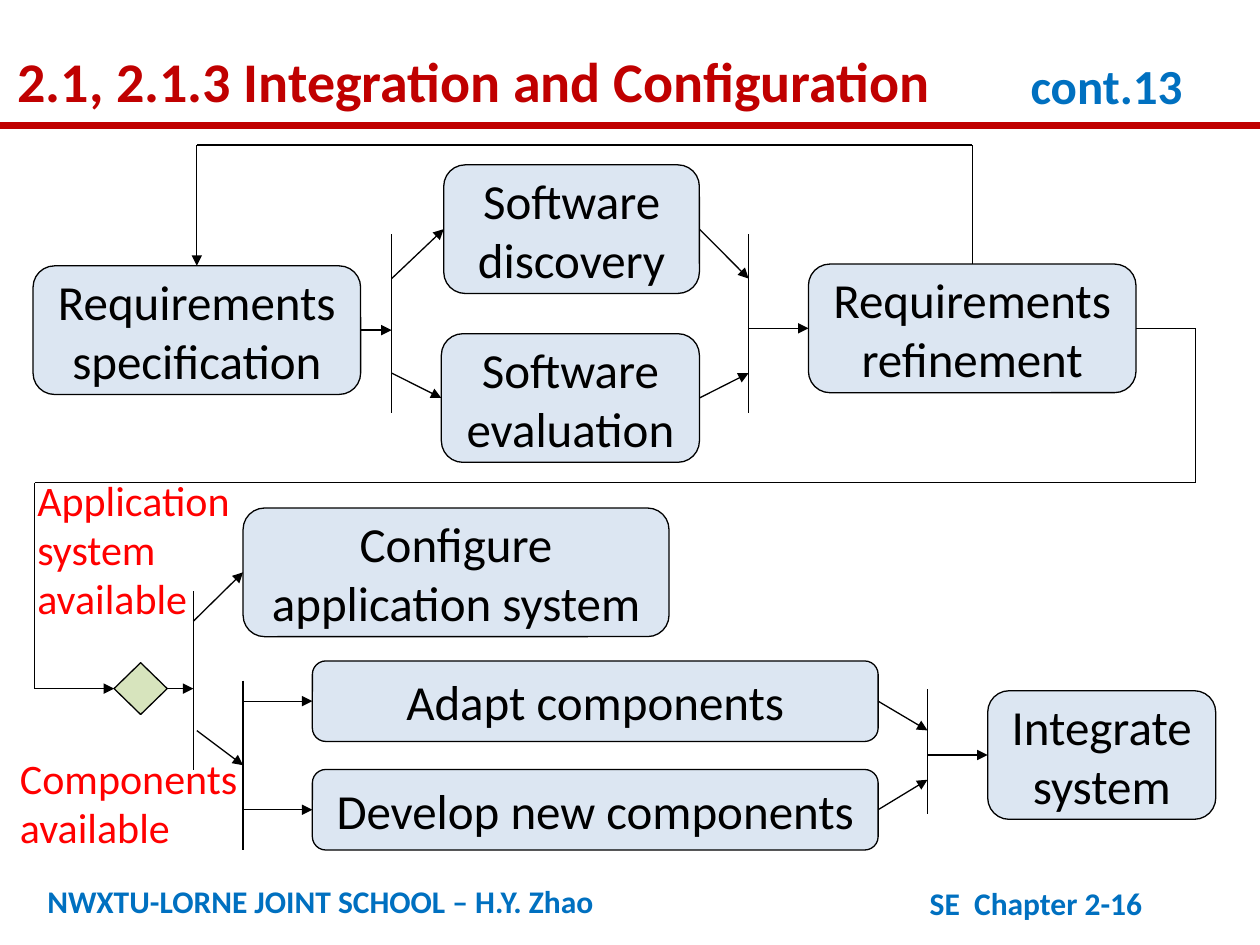
from lxml import etree
from pptx import Presentation
from pptx import util as u
from pptx.dml.color import RGBColor
from pptx.enum import shapes, text
from pptx.oxml.ns import qn

RED = RGBColor(0xC0, 0x00, 0x00)
BRIGHT_RED = RGBColor(0xFF, 0x00, 0x00)
BLUE = RGBColor(0x00, 0x70, 0xC0)
PALE_BLUE = RGBColor(0xDC, 0xE6, 0xF2)
PALE_GREEN = RGBColor(0xD7, 0xE4, 0xBD)
BLACK = RGBColor(0x00, 0x00, 0x00)

TOP, LEFT, BOTTOM, RIGHT = range(4)
BOX_HEIGHT = 73.5
BAR_HEIGHT = 46


class Sketch:
    """Style of the process diagram and the page it is drawn on."""

    font = "Calibri"
    box_size = 28
    line_width = 0.75

    def __init__(self, page):
        self.page = page

    def fill_text(self, frame, lines, size, color, bold=False, align=None, spacing=None):
        frame.word_wrap = True
        for i, line in enumerate(lines):
            para = frame.paragraphs[0] if i == 0 else frame.add_paragraph()
            para.alignment = align
            if spacing:
                para.line_spacing = spacing
            span = para.add_run()
            span.text = line
            span.font.name = self.font
            span.font.size = u.Pt(size)
            span.font.bold = bold
            span.font.color.rgb = color

    def label(self, left, top, width, height, lines, size, color,
              bold=False, spacing=None, grow=False):
        box = self.page.shapes.add_textbox(*map(u.Pt, (left, top, width, height)))
        self.fill_text(box.text_frame, lines, size, color, bold, spacing=spacing)
        if grow:
            box.text_frame.auto_size = text.MSO_AUTO_SIZE.SHAPE_TO_FIT_TEXT

    def shape(self, kind, left, top, width, height, fill):
        shape = self.page.shapes.add_shape(kind, *map(u.Pt, (left, top, width, height)))
        shape.shadow.inherit = False
        shape.fill.solid()
        shape.fill.fore_color.rgb = fill
        shape.line.color.rgb = BLACK
        shape.line.width = u.Pt(self.line_width)
        return shape

    def step(self, left, top, width, height, *lines):
        box = self.shape(shapes.MSO_SHAPE.ROUNDED_RECTANGLE,
                         left, top, width, height, PALE_BLUE)
        box.text_frame.vertical_anchor = text.MSO_ANCHOR.MIDDLE
        self.fill_text(box.text_frame, lines, self.box_size, BLACK,
                       align=text.PP_ALIGN.CENTER)
        return box

    def line(self, start, end, arrow=False, color=BLACK, width=line_width):
        """Draw a line; each end is an (x, y) point or a (box, side) pair."""
        start_box, end_box = (not isinstance(e[0], (int, float)) for e in (start, end))
        x1, y1 = (0, 0) if start_box else start
        x2, y2 = (0, 0) if end_box else end
        line = self.page.shapes.add_connector(
            shapes.MSO_CONNECTOR.STRAIGHT, *map(u.Pt, (x1, y1, x2, y2)))
        if start_box:
            line.begin_connect(*start)
        if end_box:
            line.end_connect(*end)
        line.line.color.rgb = color
        line.line.width = u.Pt(width)
        properties = line.element.spPr
        if arrow:
            etree.SubElement(properties.find(qn("a:ln")), qn("a:tailEnd"), type="triangle")
        etree.SubElement(properties, qn("a:effectLst"))

    def arrow(self, start, end):
        self.line(start, end, arrow=True)

    def route(self, *stops):
        """Join a row of stops by straight lines, with an arrow at the last."""
        for i in range(1, len(stops)):
            self.line(stops[i - 1], stops[i], arrow=i == len(stops) - 1)


def draw_header_and_footer(sketch):
    sketch.line((0, 71.5), (720, 71.5), color=RED, width=4)
    sketch.label(20, 500.4, 454, 29, ["NWXTU-LORNE JOINT SCHOOL – H.Y. Zhao"],
                 18, BLUE, bold=True)
    sketch.label(524.2, 501.8, 188, 29, ["SE  Chapter 2-16"], 18, BLUE, bold=True)
    sketch.label(581.8, 41.8, 112.3, 29.5, ["cont.13"], 28, BLUE, bold=True,
                 spacing=u.Pt(20), grow=True)
    sketch.label(2.9, 15.1, 556, 50.4, ["2.1, 2.1.3 Integration and Configuration"],
                 32, RED, bold=True, spacing=1.2, grow=True)


def draw_requirements_cycle(sketch):
    """Draw the upper row and return its last step."""
    specification = sketch.step(18.9, 151.9, 187.2, BOX_HEIGHT,
                                "Requirements", "specification")
    discovery = sketch.step(253.6, 94.2, 146.1, BOX_HEIGHT, "Software", "discovery")
    evaluation = sketch.step(252.2, 190.7, 147.5, BOX_HEIGHT, "Software", "evaluation")
    refinement = sketch.step(462, 150.9, 187.2, BOX_HEIGHT, "Requirements", "refinement")

    fork, join = 223.8, 427.8
    for x in (fork, join):
        sketch.line((x, 134), (x, 236))
    sketch.arrow((specification, RIGHT), (fork, 188.65))
    for box, y in ((discovery, 159.2), (evaluation, 213.2)):
        sketch.arrow((fork, y), (box, LEFT))
        sketch.arrow((box, RIGHT), (join, y))
    sketch.arrow((join, 187.65), (refinement, LEFT))
    sketch.route((refinement, TOP), (555.6, 82.8), (112.5, 82.8), (specification, TOP))
    return refinement


def draw_system_build(sketch, refinement):
    configure = sketch.step(138.9, 290.3, 243.4, BOX_HEIGHT, "Configure application system")
    adapt = sketch.step(178.5, 377.7, 323.3, BAR_HEIGHT, "Adapt components")
    develop = sketch.step(178.5, 439.7, 323.3, BAR_HEIGHT, "Develop new components")
    integrate = sketch.step(564.4, 394.7, 130.3, BOX_HEIGHT, "Integrate", "system")
    decision = sketch.shape(shapes.MSO_SHAPE.DIAMOND, 65.2, 378.7, 30.4, 29.6, PALE_GREEN)

    sketch.route((refinement, RIGHT), (683.3, 187.65), (683.3, 275.8),
                 (19.8, 275.8), (19.8, 393.5), (decision, LEFT))

    choice, fork, join = 110.5, 138.9, 530
    for x, top, bottom in ((choice, 338, 440), (fork, 389, 485.5), (join, 393.8, 465)):
        sketch.line((x, top), (x, bottom))
    sketch.arrow((decision, RIGHT), (choice, 393.5))
    sketch.arrow((choice, 355), (configure, LEFT))
    sketch.arrow((112.5, 417.5), (fork, 437.3))
    for box, middle, y in ((adapt, 400.7, 417.4), (develop, 462.7, 445.6)):
        sketch.arrow((fork, middle), (box, LEFT))
        sketch.arrow((box, RIGHT), (join, y))
    sketch.arrow((join, 431.45), (integrate, LEFT))

    for left, top, width, height, lines in (
            (14.2, 268.6, 126, 92.2, ["Application system available"]),
            (4.3, 427, 152.6, 64, ["Components", "available"])):
        sketch.label(left, top, width, height, lines, 24, BRIGHT_RED,
                     spacing=u.Pt(28), grow=True)


def main():
    deck = Presentation()
    deck.slide_width, deck.slide_height = u.Pt(720), u.Pt(540)
    sketch = Sketch(deck.slides.add_slide(deck.slide_layouts[6]))
    draw_header_and_footer(sketch)
    refinement = draw_requirements_cycle(sketch)
    draw_system_build(sketch, refinement)
    deck.save("out.pptx")


if __name__ == "__main__":
    main()
